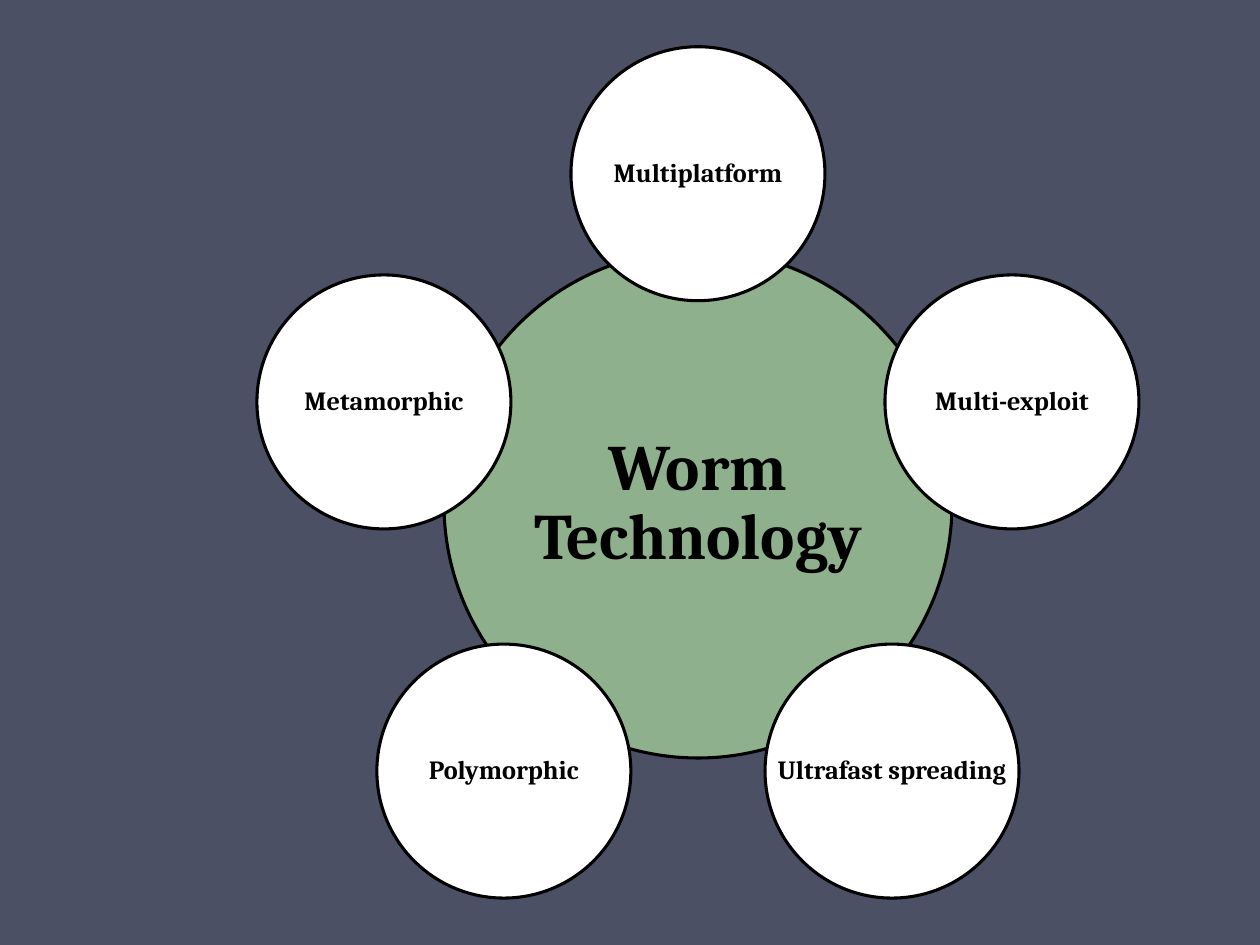
from math import cos, radians, sin

from pptx import Presentation
from pptx.dml.color import RGBColor
from pptx.enum.shapes import MSO_SHAPE
from pptx.enum.text import MSO_ANCHOR, PP_ALIGN
from pptx.util import Emu, Pt

OVAL = MSO_SHAPE.OVAL
MIDDLE = MSO_ANCHOR.MIDDLE
CENTER = PP_ALIGN.CENTER

SLATE = RGBColor(0x4B, 0x50, 0x64)
GREEN = RGBColor(0x8F, 0xB0, 0x8C)
WHITE = RGBColor(0xFF, 0xFF, 0xFF)
BLACK = RGBColor(0x00, 0x00, 0x00)

FONT = "Cambria"
HUB = "Worm Technology"
TRAITS = ["Multiplatform", "Multi-exploit", "Ultrafast spreading",
          "Polymorphic", "Metamorphic"]


def px(n):
    return Emu(round(n * 914400 / 126))


def write(shape, text, size, inset, wrap=True):
    frame = shape.text_frame
    frame.word_wrap = wrap
    frame.vertical_anchor = MIDDLE
    frame.margin_left = frame.margin_right = px(inset)
    frame.margin_top = frame.margin_bottom = px(inset)
    para = frame.paragraphs[0]
    para.alignment = CENTER
    para.line_spacing = 0.9
    run = para.add_run()
    run.text = text
    run.font.name = FONT
    run.font.size = Pt(size)
    run.font.bold = True
    run.font.color.rgb = BLACK


def disc(slide, x, y, radius, fill):
    """Draw an outlined circle around the centre (x, y)."""
    shape = slide.shapes.add_shape(
        OVAL, px(x - radius), px(y - radius), px(2 * radius), px(2 * radius))
    shape.shadow.inherit = False
    shape.fill.solid()
    shape.fill.fore_color.rgb = fill
    shape.line.color.rgb = BLACK
    shape.line.width = Pt(1.75)
    return shape


def wheel(slide, x, y, radius, hub, traits):
    """Set the traits evenly around the hub, clockwise from the top."""
    write(disc(slide, x, y, radius, GREEN), hub, size=37, inset=6)
    small = radius / 2
    orbit = 1.3 * radius
    for i, trait in enumerate(traits):
        turn = radians(360 * i / len(traits))
        node = disc(slide, x + orbit * sin(turn), y - orbit * cos(turn),
                    small, WHITE)
        write(node, trait, size=15, inset=2, wrap=False)


def main():
    deck = Presentation()
    deck.slide_width, deck.slide_height = px(1260), px(945)
    slide = deck.slides.add_slide(deck.slide_layouts[6])
    back = slide.background.fill
    back.solid()
    back.fore_color.rgb = SLATE
    wheel(slide, 698, 504, 254, HUB, TRAITS)
    deck.save("out.pptx")


if __name__ == "__main__":
    main()
